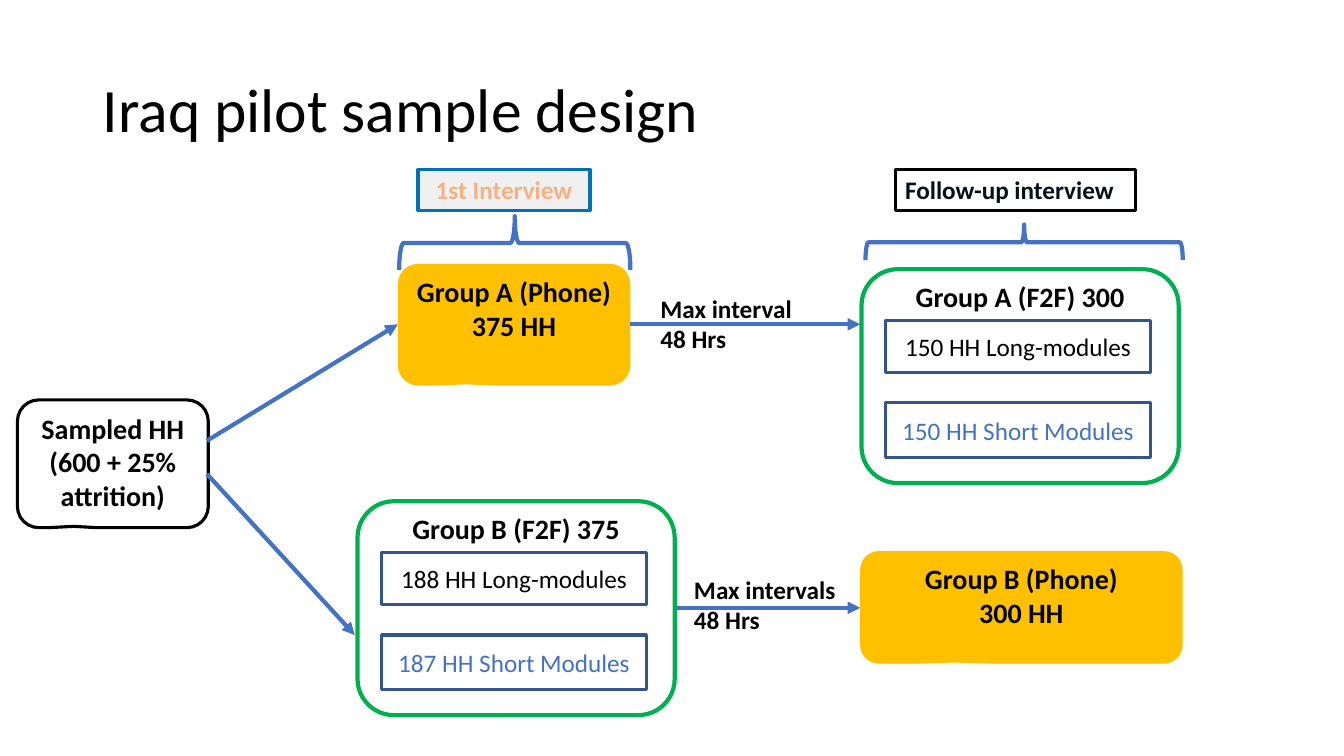
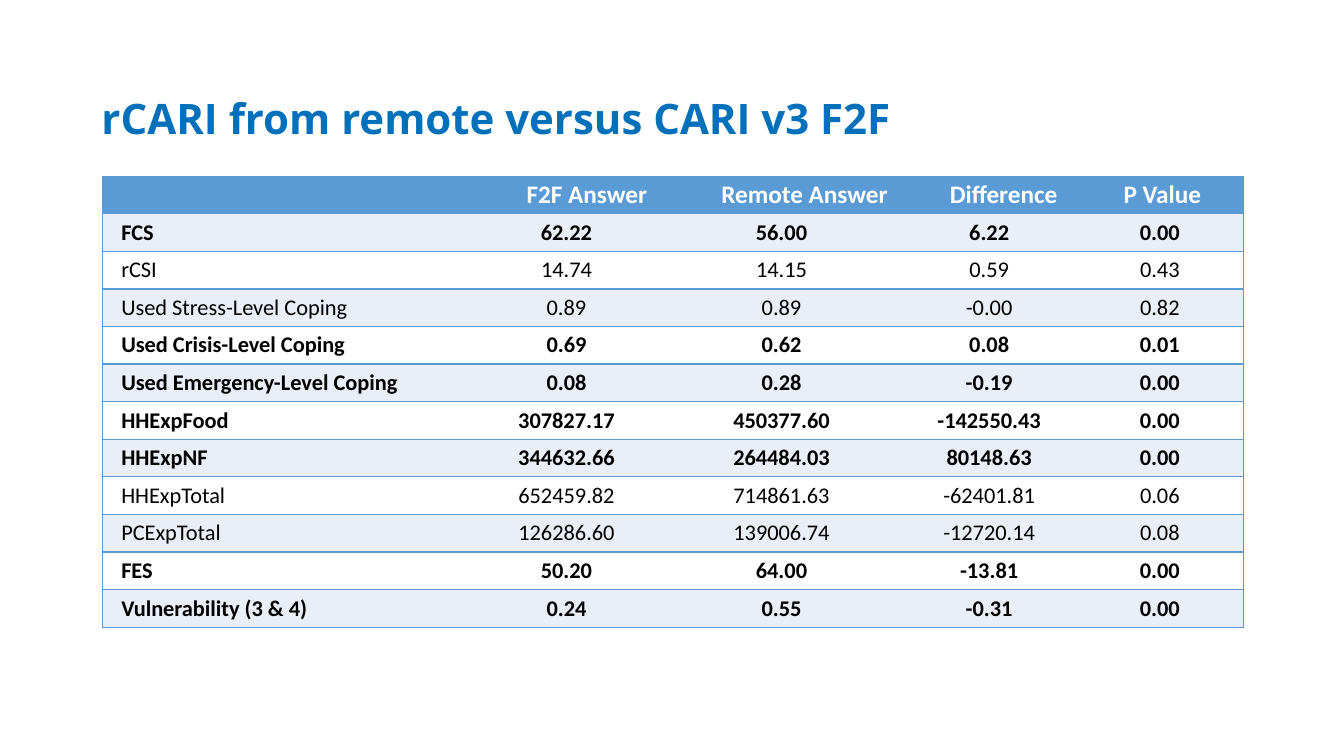
from dataclasses import dataclass
from typing import Optional

from lxml import etree
from pptx import Presentation
from pptx import util as u
from pptx.dml.color import RGBColor
from pptx.enum import shapes as es, text as et
from pptx.oxml.ns import qn
from pptx.slide import Slide

# Shared look
BLACK = RGBColor(0x00, 0x00, 0x00)
WHITE = RGBColor(0xFF, 0xFF, 0xFF)
INK = RGBColor(0x06, 0x10, 0x18)
AMBER = RGBColor(0xFF, 0xC0, 0x00)
PEACH = RGBColor(0xF4, 0xB1, 0x83)
GREY = RGBColor(0xF1, 0xF0, 0xF0)
GREEN = RGBColor(0x00, 0xB0, 0x50)
AZURE = RGBColor(0x00, 0x70, 0xBA)
BLUE = RGBColor(0x44, 0x72, 0xC4)
NAVY = RGBColor(0x32, 0x54, 0x91)
SKY = RGBColor(0x5B, 0x9B, 0xD5)
PALE = RGBColor(0xEA, 0xEF, 0xF7)
FONT = "Calibri"
WIDE, HIGH = u.Inches(13.33), u.Inches(7.5)
PLAIN = "{2D5ABB26-0587-4C30-8999-92F81FD0307C}"  # table style without a grid

LEFT, MID, RIGHT = et.PP_ALIGN.LEFT, et.PP_ALIGN.CENTER, et.PP_ALIGN.RIGHT
TOP, CENTRE = et.MSO_ANCHOR.TOP, et.MSO_ANCHOR.MIDDLE
KIND = es.MSO_SHAPE


@dataclass(frozen=True)
class Area:
    """A place on the slide, in percent of its width and height."""
    left: float
    top: float
    wide: float
    high: float

    def box(self) -> tuple[int, int, int, int]:
        return (across(self.left), down(self.top),
                across(self.wide), down(self.high))


@dataclass(frozen=True)
class Type:
    size: float
    color: RGBColor = BLACK
    bold: bool = True
    font: str = FONT


@dataclass(frozen=True)
class Box:
    area: Area
    lines: tuple[str, ...]
    style: Type
    fill: RGBColor = WHITE
    edge: Optional[RGBColor] = None
    kind: KIND = KIND.RECTANGLE
    anchor: et.MSO_ANCHOR = CENTRE
    align: et.PP_ALIGN = MID
    weight: float = 2.25
    adjust: tuple[float, ...] = ()
    inset: float = 0.05


@dataclass(frozen=True)
class Panel:
    left: float
    top: float
    head: str
    long: str
    short: str


def across(share: float) -> int:
    return round(WIDE * share / 100)


def down(share: float) -> int:
    return round(HIGH * share / 100)


# Drawing helpers
def write(frame, lines: tuple[str, ...], style: Type, align=LEFT) -> None:
    for i, line in enumerate(lines):
        para = frame.add_paragraph() if i else frame.paragraphs[0]
        para.alignment = align
        run = para.add_run()
        run.text = line
        run.font.name, run.font.size = style.font, u.Pt(style.size)
        run.font.bold, run.font.color.rgb = style.bold, style.color


def add_title(slide: Slide, words: str, area: Area, style: Type) -> None:
    title = slide.shapes.title
    title.left, title.top, title.width, title.height = area.box()
    frame = title.text_frame
    frame.auto_size = et.MSO_AUTO_SIZE.NONE
    frame.vertical_anchor = CENTRE
    write(frame, (words,), style)
    frame.paragraphs[0].line_spacing = 0.9


def add_box(slide: Slide, box: Box) -> None:
    shape = slide.shapes.add_shape(box.kind, *box.area.box())
    shape.shadow.inherit = False
    for i, value in enumerate(box.adjust):
        shape.adjustments[i] = value
    shape.fill.solid()
    shape.fill.fore_color.rgb = box.fill
    if box.edge is None:
        shape.line.fill.background()
    else:
        shape.line.color.rgb, shape.line.width = box.edge, u.Pt(box.weight)
    frame = shape.text_frame
    frame.word_wrap, frame.vertical_anchor = True, box.anchor
    frame.margin_top = u.Inches(box.inset)
    write(frame, box.lines, box.style, box.align)


def add_brace(slide: Slide, area: Area) -> None:
    left, top, wide, high = area.box()
    shift = (wide - high) // 2  # the upright brace turns about its centre
    brace = slide.shapes.add_shape(KIND.LEFT_BRACE, left + shift, top - shift, high, wide)
    brace.rotation = 90
    brace.shadow.inherit = False
    brace.fill.background()
    brace.line.color.rgb, brace.line.width = BLUE, u.Pt(3)


def add_arrow(slide: Slide, x1: float, y1: float, x2: float, y2: float) -> None:
    line = slide.shapes.add_connector(es.MSO_CONNECTOR.STRAIGHT, across(x1), down(y1),
                                      across(x2), down(y2))
    line.line.color.rgb, line.line.width = BLUE, u.Pt(3)
    etree.SubElement(line.line._get_or_add_ln(), qn("a:tailEnd"), type="triangle")
    etree.SubElement(line._element.spPr, qn("a:effectLst"))


def add_label(slide: Slide, words: str, area: Area) -> None:
    frame = slide.shapes.add_textbox(*area.box()).text_frame
    frame.word_wrap = True
    write(frame, (words,), Type(18))


def add_panel(slide: Slide, panel: Panel) -> None:
    add_box(slide, Box(Area(panel.left, panel.top, 23.6, 28.3), (panel.head,), Type(20),
                       edge=GREEN, kind=KIND.ROUNDED_RECTANGLE, anchor=TOP, weight=3,
                       adjust=(0.17,), inset=0))
    for words, color, drop, high in ((panel.long, BLACK, 6.8, 6.9),
                                     (panel.short, BLUE, 17.7, 7.2)):
        area = Area(panel.left + 1.8, panel.top + drop, 19.7, high)
        add_box(slide, Box(area, (words,), Type(18, color, False), edge=NAVY))


def add_edge(cell, sides: str) -> None:
    props = cell._tc.get_or_add_tcPr()
    for side in sides:
        line = etree.SubElement(props, qn(f"a:ln{side}"), w=str(u.Pt(1)))
        fill = etree.SubElement(line, qn("a:solidFill"))
        etree.SubElement(fill, qn("a:srgbClr"), val=str(SKY))


# Slide 1: sample design
CARDS = (
    (Area(64, 72.9, 24, 14.9), ("Group B (Phone)", "300 HH"), AMBER, None),
    (Area(1.3, 52.9, 14.2, 16.9), ("Sampled HH", "(600 + 25% attrition)"), WHITE, BLACK),
    (Area(29.6, 34.9, 17.3, 16.1), ("Group A (Phone)", "375 HH"), AMBER, None),
)
STAGES = (
    Box(Area(31.1, 22.4, 12.8, 5.4), ("1st Interview",), Type(18, PEACH), GREY, AZURE),
    Box(Area(66.6, 22.4, 17.9, 5.4), ("Follow-up interview",), Type(18, INK),
        edge=BLACK, align=LEFT),
)
BRACES = (Area(29.7, 28.6, 17.2, 7.1), Area(64.4, 29.7, 23.6, 4.7))
ARROWS = ((15.4, 62.7, 26.4, 84), (15.4, 58.3, 29.6, 42.9),
          (50.2, 80.4, 64, 80.4), (46.9, 42.9, 64, 42.9))
PANELS = (
    Panel(64.1, 35.6, "Group A (F2F) 300", "150 HH Long-modules", "150 HH Short Modules"),
    Panel(26.6, 66.3, "Group B (F2F) 375", "188 HH Long-modules", "187 HH Short Modules"),
)
LABELS = (("Max interval 48 Hrs", Area(48.4, 38.1, 12.6, 9.5)),
          ("Max intervals 48 Hrs", Area(50.9, 75.3, 12.6, 9.5)))


def draw_design(slide: Slide) -> None:
    add_title(slide, "Iraq pilot sample design", Area(6.9, 5.3, 86.2, 19.3),
              Type(44, bold=False))
    for area, lines, fill, edge in CARDS:
        add_box(slide, Box(area, lines, Type(20), fill, edge, anchor=TOP,
                           kind=KIND.ROUNDED_RECTANGULAR_CALLOUT,
                           adjust=(-0.206, 0.49, 0.167)))
    for stage in STAGES:
        add_box(slide, stage)
    for area in BRACES:
        add_brace(slide, area)
    for ends in ARROWS:
        add_arrow(slide, *ends)
    for panel in PANELS:
        add_panel(slide, panel)
    for words, area in LABELS:
        add_label(slide, words, area)


# Slide 2: comparison table
COLS = (27.5, 14.1, 17.9, 13, 12.4)
HEADS = ("", "F2F Answer", "Remote Answer", "Difference", "P Value")
ALIGNS = (LEFT, RIGHT, RIGHT, RIGHT, MID)
ROWS = (
    ("FCS", "62.22", "56.00", "6.22", "0.00"),
    ("rCSI", "14.74", "14.15", "0.59", "0.43"),
    ("Used Stress-Level Coping", "0.89", "0.89", "-0.00", "0.82"),
    ("Used Crisis-Level Coping", "0.69", "0.62", "0.08", "0.01"),
    ("Used Emergency-Level Coping", "0.08", "0.28", "-0.19", "0.00"),
    ("HHExpFood", "307827.17", "450377.60", "-142550.43", "0.00"),
    ("HHExpNF", "344632.66", "264484.03", "80148.63", "0.00"),
    ("HHExpTotal", "652459.82", "714861.63", "-62401.81", "0.06"),
    ("PCExpTotal", "126286.60", "139006.74", "-12720.14", "0.08"),
    ("FES", "50.20", "64.00", "-13.81", "0.00"),
    ("Vulnerability (3 & 4)", "0.24", "0.55", "-0.31", "0.00"),
)


def fill_cell(cell, words: str, row: int, col: int, style: Type) -> None:
    last = len(COLS) - 1
    add_edge(cell, ("L" if col == 0 else "") + ("R" if col == last else "") + "TB")
    cell.fill.solid()
    cell.fill.fore_color.rgb = SKY if row == 0 else PALE if row % 2 else WHITE
    cell.vertical_anchor = CENTRE
    cell.margin_top = cell.margin_bottom = 0
    cell.margin_left = u.Inches(0.19 if row == 0 or col == 0 else 0.14)
    cell.margin_right = u.Inches(0.19 if row == 0 and col == 3 else 0.14)
    if words:
        align = ALIGNS[col] if row == 0 or col == 0 else MID
        write(cell.text_frame, (words,), style, align)


def draw_table(slide: Slide) -> None:
    add_title(slide, "rCARI from remote versus CARI v3 F2F", Area(6.8, 7.6, 86.5, 16.8),
              Type(30, AZURE, font="Open Sans"))
    area = Area(7.6, 23.3, sum(COLS), 59.7)
    table = slide.shapes.add_table(len(ROWS) + 1, len(COLS), *area.box()).table
    table.first_row = table.horz_banding = False
    table._tbl.tblPr.find(qn("a:tableStyleId")).text = PLAIN
    for col, wide in zip(table.columns, COLS):
        col.width = across(wide)
    for r, row in enumerate((HEADS,) + ROWS):
        # Significant differences stand out in bold
        style = Type(18, WHITE) if r == 0 else Type(16, bold=float(row[-1]) < 0.05)
        for c, words in enumerate(row):
            fill_cell(table.cell(r, c), words, r, c, style)


def main() -> None:
    deck = Presentation()
    deck.slide_width, deck.slide_height = WIDE, HIGH
    for draw in (draw_design, draw_table):
        draw(deck.slides.add_slide(deck.slide_layouts[5]))
    deck.save("out.pptx")


if __name__ == "__main__":
    main()
